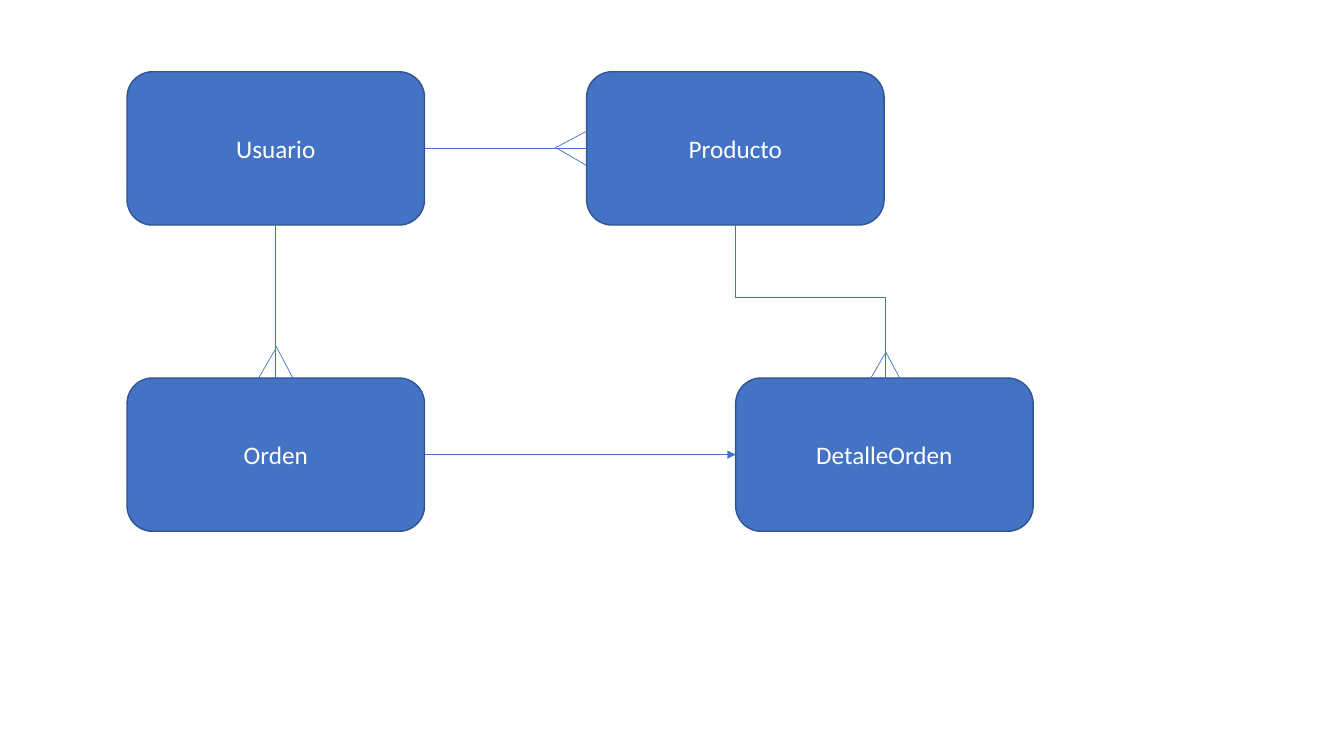
"""Builds an entity diagram of users, products, orders and order details."""
from lxml import etree
from pptx import Presentation
from pptx import util as u
from pptx.dml.color import RGBColor
from pptx.enum import shapes, text
from pptx.oxml import ns

Pt = u.Pt


def rgb(code):
    return RGBColor.from_string(code)


class Board:
    font, size = "Calibri", 18
    fill, edge, ink = "4472C4", "325491", "FFFFFF"
    wide, high = 212.5, 109.5

    def __init__(self, slide):
        self.slide = slide

    def entity(self, name, x, y):
        box = self.slide.shapes.add_shape(
            shapes.MSO_SHAPE.ROUNDED_RECTANGLE,
            Pt(x), Pt(y), Pt(self.wide), Pt(self.high))
        box.shadow.inherit = False
        box.fill.solid()
        box.fill.fore_color.rgb = rgb(self.fill)
        box.line.color.rgb = rgb(self.edge)
        box.line.width = Pt(1)
        frame = box.text_frame
        frame.vertical_anchor = text.MSO_ANCHOR.MIDDLE
        para = frame.paragraphs[0]
        para.text = name
        para.alignment = text.PP_ALIGN.CENTER
        para.font.name = self.font
        para.font.size = Pt(self.size)
        para.font.color.rgb = rgb(self.ink)
        return box

    def line(self, start, end, host=None, kind=shapes.MSO_CONNECTOR.STRAIGHT):
        host = host or self.slide
        link = host.shapes.add_connector(kind, *map(Pt, (*start, *end)))
        link.line.color.rgb = rgb(self.fill)
        link.line.width = Pt(0.5)
        etree.SubElement(link._element.spPr, ns.qn("a:effectLst"))
        return link

    def arrow(self, start, end):
        link = self.line(start, end)
        tip = etree.SubElement(link.line._get_or_add_ln(), ns.qn("a:tailEnd"))
        tip.set("type", "triangle")
        return link

    def bend(self, start, end):
        (x1, y1), (x2, y2) = start, end
        mid_x, mid_y = (x1 + x2) / 2, (y1 + y2) / 2
        half_w, half_h = (y2 - y1) / 2, (x2 - x1) / 2
        link = self.line((mid_x + half_w, mid_y - half_h),
                         (mid_x - half_w, mid_y + half_h),
                         kind=shapes.MSO_CONNECTOR.ELBOW)
        props = link._element.spPr
        props.find(ns.qn("a:xfrm")).set("rot", "16200000")
        props.find(ns.qn("a:prstGeom")).set("prst", "bentConnector2")

    def crow(self, end, length, dx, dy, group=True):
        host = self.slide.shapes.add_group_shape() if group else self.slide
        x, y = end
        self.line((x - length * dx, y - length * dy), end, host)
        for back, side in ((23, 12.25), (21, -12.25)):
            self.line((x - back * dx, y - back * dy),
                      (x + side * dy, y - side * dx), host)


def main():
    deck = Presentation()
    deck.slide_width, deck.slide_height = Pt(960), Pt(540)
    board = Board(deck.slides.add_slide(deck.slide_layouts[6]))

    left, middle, right = 90.75, 419, 525.5
    upper, lower = 51.25, 270
    half_w, half_h = board.wide / 2, board.high / 2
    turn_x, turn_y = 632.25, 212.5

    board.entity("Usuario", left, upper)
    detail = board.entity("DetalleOrden", right, lower)
    order = board.entity("Orden", left, lower)
    board.entity("Producto", middle, upper)

    board.crow((middle, upper + half_h), middle - left - board.wide, 1, 0)
    board.crow((left + half_w, lower), 116, 0, 1)
    link = board.arrow((left + board.wide, lower + half_h),
                       (right, lower + half_h))
    link.begin_connect(order, 3)
    link.end_connect(detail, 1)
    board.crow((turn_x, 273.5), 61, 0, 1, group=False)
    board.bend((middle + half_w, upper + board.high), (turn_x, turn_y))

    deck.save("out.pptx")


main()
